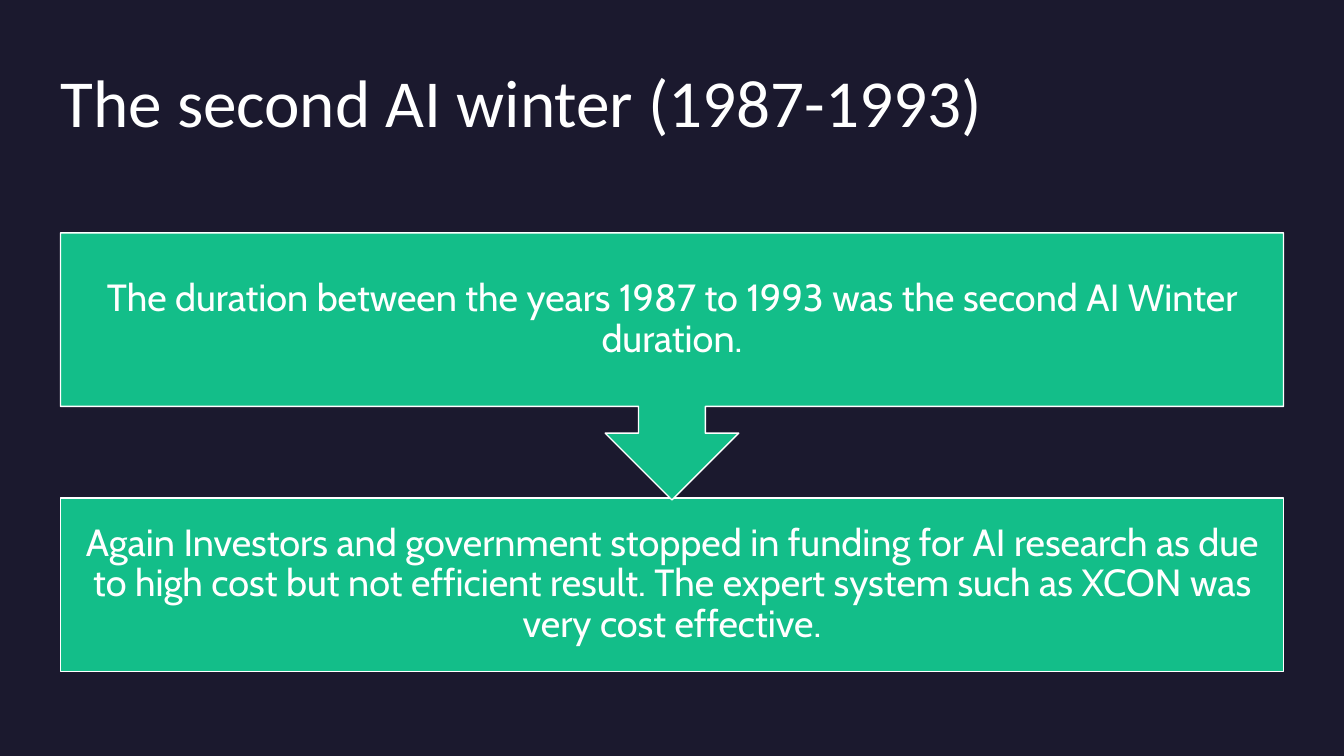
from pptx import Presentation
from pptx.dml.color import RGBColor
from pptx.enum.shapes import MSO_SHAPE as Shape
from pptx.enum.text import MSO_ANCHOR as Anchor, PP_ALIGN as Align
from pptx.util import Inches, Pt

NAVY = RGBColor(0x1B, 0x19, 0x2E)
GREEN = RGBColor(0x13, 0xBE, 0x89)
WHITE = RGBColor(0xFF, 0xFF, 0xFF)

LEFT, WIDTH = 0.6, 12.13


class Deck:
    """Holds the style and the current slide."""

    def __init__(self):
        self.prs = Presentation()
        self.prs.slide_width = Inches(13.33)
        self.prs.slide_height = Inches(7.5)
        self.slide = self.prs.slides.add_slide(self.prs.slide_layouts[6])
        fill = self.slide.background.fill
        fill.solid()
        fill.fore_color.rgb = NAVY

    def set_text(self, sp, text, font, size, align, anchor, inset):
        tf = sp.text_frame
        tf.word_wrap = True
        tf.vertical_anchor = anchor
        tf.margin_left = tf.margin_right = Inches(inset)
        tf.margin_top = tf.margin_bottom = Inches(inset)
        p = tf.paragraphs[0]
        p.text = text
        p.alignment = align
        p.font.name = font
        p.font.size = Pt(size)
        p.font.color.rgb = WHITE
        return p

    def title(self, text, top, height):
        sp = self.slide.shapes.add_textbox(
            Inches(LEFT), Inches(top), Inches(WIDTH), Inches(height))
        self.set_text(sp, text, "Calibri", 48, Align.LEFT, Anchor.TOP, 0)

    def step(self, kind, text, top, height):
        sp = self.slide.shapes.add_shape(
            kind, Inches(LEFT), Inches(top), Inches(WIDTH), Inches(height))
        sp.shadow.inherit = False
        sp.fill.solid()
        sp.fill.fore_color.rgb = GREEN
        sp.line.color.rgb = WHITE
        sp.line.width = Pt(1)
        p = self.set_text(sp, text, "Cabin", 27, Align.CENTER, Anchor.MIDDLE, 0.21)
        p.line_spacing = 0.9


def main():
    deck = Deck()
    deck.title("The second AI winter (1987-1993)", 0.6, 1.46)

    # The lower step goes first so that the arrow tip lies over it
    deck.step(Shape.RECTANGLE,
              "Again Investors and government stopped in funding for AI research "
              "as due to high cost but not efficient result. The expert system "
              "such as XCON was very cost effective.", 4.94, 1.72)
    deck.step(Shape.DOWN_ARROW_CALLOUT,
              "The duration between the years 1987 to 1993 was the second "
              "AI Winter duration.", 2.31, 2.65)

    deck.prs.save("out.pptx")


if __name__ == "__main__":
    main()
